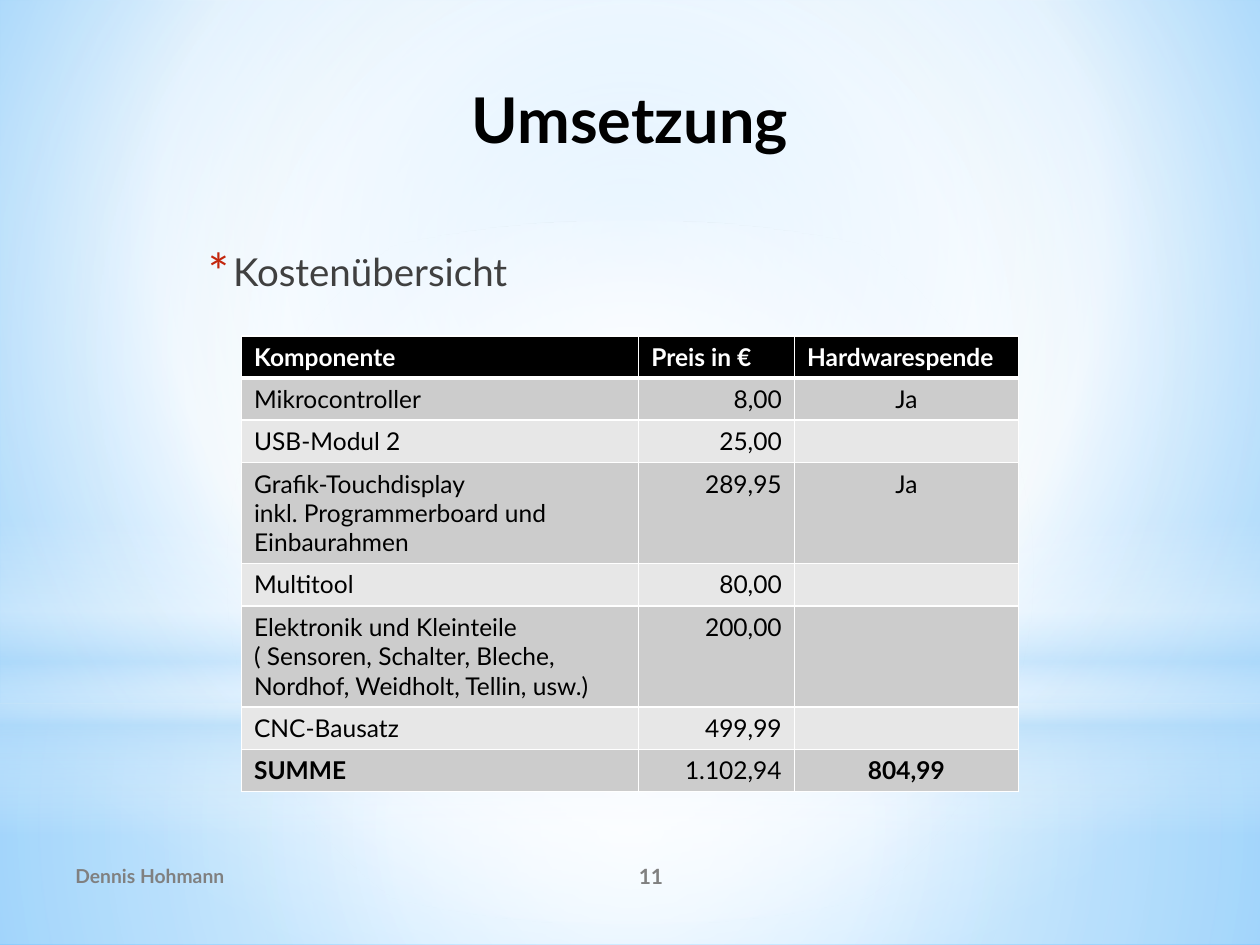
from dataclasses import dataclass

from lxml.etree import SubElement
from pptx import Presentation
from pptx.dml.color import RGBColor
from pptx.enum.shapes import MSO_SHAPE as Shape
from pptx.enum.text import MSO_ANCHOR as Anchor, MSO_AUTO_SIZE as AutoSize, PP_ALIGN as Align
from pptx.oxml import parse_xml
from pptx.oxml.ns import nsdecls, qn
from pptx.util import Pt


@dataclass(frozen=True)
class Theme:
    font: str = "Lato"
    black: str = "000000"
    white: str = "FFFFFF"
    body: str = "404040"
    muted: str = "808080"
    accent: str = "C3260C"
    haze: str = "B4DCFA"
    sky: str = "9ED5FF"
    deep_sky: str = "5BB9FF"
    bands: tuple = ("E7E7E7", "CCCCCC")
    title_size: float = 36
    body_size: float = 22
    table_size: float = 14
    number_size: float = 12
    footer_size: float = 11


THEME = Theme()
CIRCLE = '<a:path path="circle"><a:fillToRect l="{}" t="{}" r="{}" b="{}"/></a:path>'
CENTERED = CIRCLE.format(*[50000] * 4)
DOWNWARD = '<a:lin ang="5400000" scaled="0"/>'

BACKDROP_STOPS = [(0, THEME.sky, 100), (60, THEME.white, 100), (100, THEME.deep_sky, 100)]
GLOWS = [
    (Shape.RECTANGLE, (0, 402, 720, 138), CENTERED,
     [(0, THEME.white, 91), (37, THEME.white, 76), (100, THEME.haze, 79)]),
    (Shape.RECTANGLE, (0, 0, 720, 402), CENTERED,
     [(0, THEME.white, 89), (48, THEME.white, 62), (100, THEME.haze, 79)]),
    (Shape.RECTANGLE, (0, 297, 720, 180), DOWNWARD,
     [(0, THEME.white, 0), (29, THEME.white, 30), (45, THEME.haze, 40),
      (55, THEME.white, 26), (65, THEME.haze, 60), (100, THEME.white, 0)]),
    (Shape.OVAL, (0, 126, 720, 402), CENTERED,
     [(0, THEME.white, 100), (56, THEME.white, 0)]),
]

COLUMN_WIDTHS = (227, 89, 128)
COLUMN_ALIGNS = (Align.LEFT, Align.RIGHT, Align.CENTER)
LINE_HEIGHT = 16.8
ROW_PADDING = 7.2
COSTS = [
    ("Komponente", "Preis in €", "Hardwarespende"),
    ("Mikrocontroller", "8,00", "Ja"),
    ("USB-Modul 2", "25,00", ""),
    ("Grafik-Touchdisplay\ninkl. Programmerboard und Einbaurahmen", "289,95", "Ja"),
    ("Multitool", "80,00", ""),
    ("Elektronik und Kleinteile\n( Sensoren, Schalter, Bleche, Nordhof, Weidholt, Tellin, usw.)",
     "200,00", ""),
    ("CNC-Bausatz", "499,99", ""),
    ("SUMME", "1.102,94", "804,99"),
]


def place(shape, box):
    for name, value in zip(("left", "top", "width", "height"), box):
        setattr(shape, name, Pt(value))


def write(frame, text, size, color, bold=False, align=Align.LEFT):
    frame.text = text
    for paragraph in frame.paragraphs:
        paragraph.alignment = align
        for run in paragraph.runs:
            for name, value in dict(name=THEME.font, size=Pt(size), bold=bold).items():
                setattr(run.font, name, value)
            run.font.color.rgb = RGBColor.from_string(color)
        if not paragraph.runs:
            SubElement(paragraph._p, qn("a:endParaRPr"), sz=str(size * 100))


def set_gradient(properties, stops, direction):
    marks = "".join(
        f'<a:gs pos="{position * 1000}"><a:srgbClr val="{color}">'
        f'<a:alpha val="{opacity * 1000}"/></a:srgbClr></a:gs>'
        for position, color, opacity in stops)
    gradient = parse_xml(
        f'<a:gradFill {nsdecls("a")} rotWithShape="1"><a:gsLst>{marks}</a:gsLst>'
        f'{direction}</a:gradFill>')
    properties.replace(properties.find(qn("a:noFill")), gradient)


def paint_background(slide):
    slide.background.fill.background()
    properties = slide.element.find(".//" + qn("p:bgPr"))
    set_gradient(properties, BACKDROP_STOPS, CIRCLE.format(20000, 10000, 20000, 60000))
    for kind, box, direction, stops in GLOWS:
        shape = slide.shapes.add_shape(kind, *map(Pt, box))
        shape.shadow.inherit = False
        shape.line.fill.background()
        shape.fill.background()
        set_gradient(shape.element.find(qn("p:spPr")), stops, direction)
        slide.shapes.title.element.addprevious(shape.element)


def fill_title(slide, text):
    title = slide.shapes.title
    place(title, (12, 42, 696, 51))
    write(title.text_frame, text, THEME.title_size, THEME.black, True, Align.CENTER)
    title.text_frame.auto_size = AutoSize.NONE


def fill_body(slide, text):
    body = slide.placeholders[1]
    place(body, (108, 138, 540, 42))
    frame = body.text_frame
    write(frame, text, THEME.body_size, THEME.body)
    frame.auto_size = AutoSize.NONE
    paragraph = frame.paragraphs[0]
    paragraph.space_before, paragraph.space_after = Pt(4.4), Pt(3)
    properties = paragraph._p.get_or_add_pPr()
    properties.set("marL", str(Pt(18)))
    properties.set("indent", str(Pt(-14.4)))
    SubElement(SubElement(properties, qn("a:buClr")), qn("a:srgbClr"), val=THEME.accent)
    SubElement(properties, qn("a:buSzPct"), val="130000")
    SubElement(properties, qn("a:buFont"), typeface=THEME.font)
    SubElement(properties, qn("a:buChar"), char="*")


def add_footer(slide, text, box, size, align):
    textbox = slide.shapes.add_textbox(*map(Pt, box))
    frame = textbox.text_frame
    frame.word_wrap = True
    frame.vertical_anchor = Anchor.MIDDLE
    write(frame, text, size, THEME.muted, True, align)


def set_borders(cell, widths):
    properties = cell._tc.get_or_add_tcPr()
    for index, (side, width) in enumerate(widths.items()):
        properties.insert(index, parse_xml(
            f'<a:ln{side} {nsdecls("a")} w="{Pt(width)}"><a:solidFill>'
            f'<a:srgbClr val="{THEME.white}"/></a:solidFill></a:ln{side}>'))


def add_cost_table(slide):
    heights = [ROW_PADDING + LINE_HEIGHT * (3 if "\n" in row[0] else 1) for row in COSTS]
    table = slide.shapes.add_table(
        len(COSTS), len(COLUMN_WIDTHS), Pt(138), Pt(192),
        Pt(sum(COLUMN_WIDTHS)), Pt(sum(heights))).table
    for column, width in zip(table.columns, COLUMN_WIDTHS):
        column.width = Pt(width)
    for row, height in zip(table.rows, heights):
        row.height = Pt(height)
    for row_index, row in enumerate(COSTS):
        header = row_index == 0
        total = row_index == len(COSTS) - 1
        fill = THEME.black if header else THEME.bands[row_index % 2]
        color = THEME.white if header else THEME.black
        widths = dict(L=1, R=1, T=3 if row_index == 1 else 1, B=3 if header else 1)
        for column_index, text in enumerate(row):
            cell = table.cell(row_index, column_index)
            cell.fill.solid()
            cell.fill.fore_color.rgb = RGBColor.from_string(fill)
            set_borders(cell, widths)
            bold = header or (total and column_index != 1)
            align = Align.LEFT if header else COLUMN_ALIGNS[column_index]
            write(cell.text_frame, text, THEME.table_size, color, bold, align)


def main():
    presentation = Presentation()
    presentation.slide_width, presentation.slide_height = Pt(720), Pt(540)
    slide = presentation.slides.add_slide(presentation.slide_layouts[1])
    paint_background(slide)
    fill_title(slide, "Umsetzung")
    fill_body(slide, "Kostenübersicht")
    add_cost_table(slide)
    add_footer(slide, "Dennis Hohmann", (36, 486, 264, 29), THEME.footer_size, Align.LEFT)
    add_footer(slide, "11", (300, 486, 144, 29), THEME.number_size, Align.CENTER)
    presentation.save("out.pptx")


if __name__ == "__main__":
    main()
